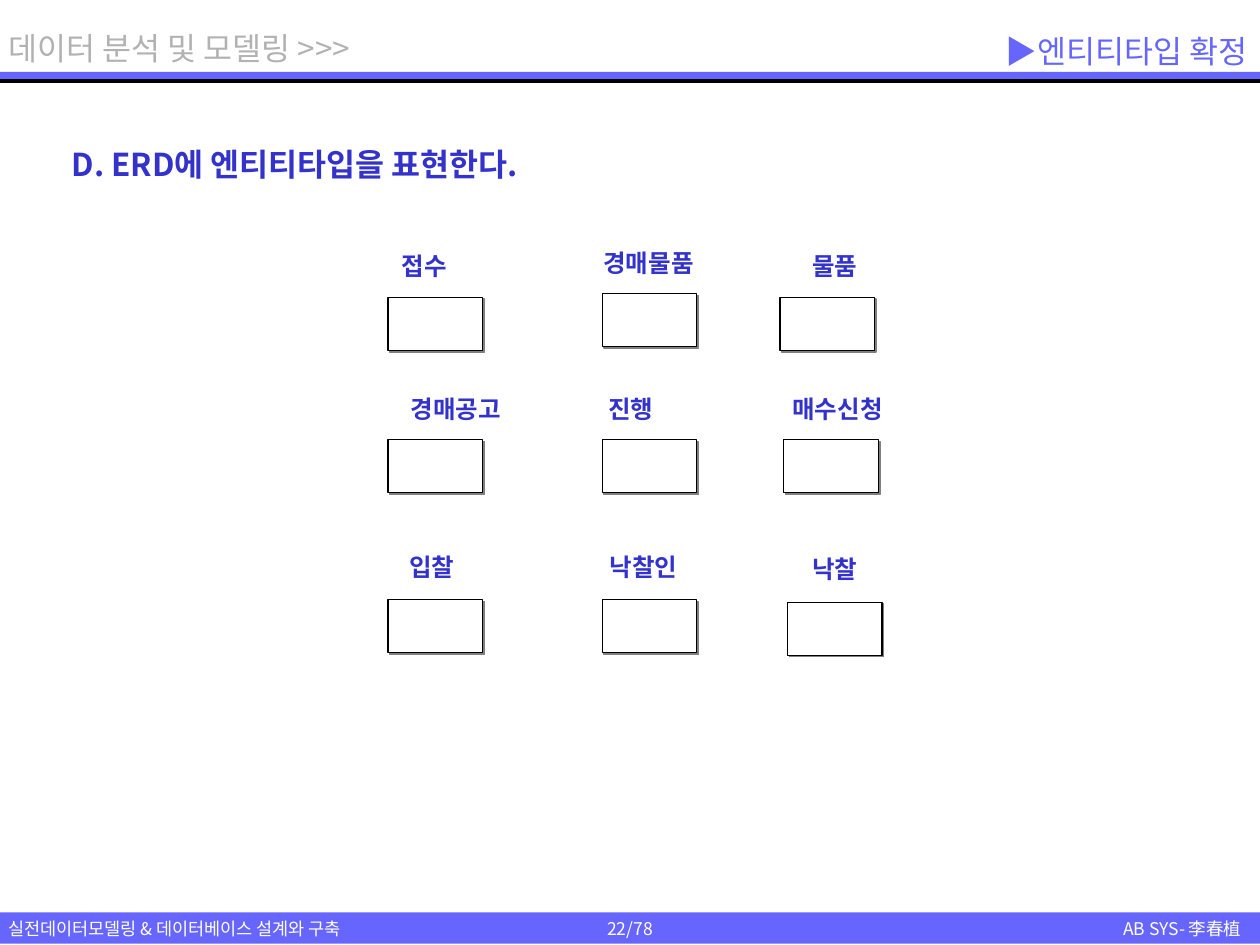
from lxml import etree
from pptx import Presentation
from pptx.dml.color import RGBColor
from pptx.enum.shapes import MSO_CONNECTOR as LINE, MSO_SHAPE as SHAPE
from pptx.enum.text import MSO_ANCHOR as ANCHOR, MSO_AUTO_SIZE as FIT, PP_ALIGN as ALIGN
from pptx.oxml import parse_xml
from pptx.oxml.ns import nsdecls, qn
from pptx.util import Inches, Pt

FONT = "Noto Sans CJK KR"
VIOLET = RGBColor(0x66, 0x66, 0xFF)
BLUE = RGBColor(0x33, 0x33, 0xCC)
GREY = RGBColor(0xB2, 0xB2, 0xB2)
WHITE = RGBColor(0xFF, 0xFF, 0xFF)
BLACK = RGBColor(0, 0, 0)
SHADOW = (f'<a:effectLst {nsdecls("a")}><a:outerShdw dist="17780" dir="2700000" '
          'algn="ctr" rotWithShape="0"><a:srgbClr val="808080"/>'
          '</a:outerShdw></a:effectLst>')


def write(shape, text, size, color, bold=False, align=ALIGN.LEFT,
          anchor=ANCHOR.TOP, wrap=False):
    frame = shape.text_frame
    frame.auto_size = FIT.NONE
    frame.word_wrap = wrap
    frame.vertical_anchor = anchor
    para = frame.paragraphs[0]
    para.alignment = align
    run = para.add_run()
    run.text = text
    font = run.font
    font.name, font.size, font.bold = FONT, Pt(size), bold
    font.color.rgb = color
    # Korean glyphs take the East Asian font
    etree.SubElement(run._r.get_or_add_rPr(), qn("a:ea")).set("typeface", FONT)


def add_box(x, y, w, h, fill):
    box = slide.shapes.add_shape(SHAPE.RECTANGLE, Inches(x), Inches(y),
                                 Inches(w), Inches(h))
    box.fill.solid()
    box.fill.fore_color.rgb = fill
    box.line.fill.background()
    box.shadow.inherit = False
    return box


deck = Presentation()
deck.slide_width, deck.slide_height = Inches(10), Inches(7.5)
slide = deck.slides.add_slide(deck.slide_layouts[5])

# Footer bar with page number, and header bar
foot = add_box(0, 7.24, 10, 0.25, VIOLET)
write(foot, "22/78", 10, WHITE, align=ALIGN.CENTER, anchor=ANCHOR.MIDDLE)
add_box(0, 0.57, 10, 0.06, VIOLET)

# Black rules under the header bar
for y in (0.63, 0.64, 0.65):
    rule = slide.shapes.add_connector(LINE.STRAIGHT, 0, Inches(y), Inches(10), Inches(y))
    rule.line.color.rgb = BLACK
    rule.line.width = Pt(0.75)
    etree.SubElement(rule._element.spPr, qn("a:effectLst"))

# Title
title = slide.shapes.title
title.left, title.top = Inches(5), Inches(0.19)
title.width, title.height = Inches(5), Inches(0.43)
write(title, "▶엔티티타입 확정", 18, VIOLET, align=ALIGN.RIGHT, anchor=ANCHOR.MIDDLE)

# Header, footer and heading: x, y, w, h, text, size, colour, bold, align
texts = [
    (-0.03, 7.24, 3.13, 0.27, "실전데이터모델링 & 데이터베이스 설계와 구축", 10, WHITE, False, ALIGN.LEFT),
    (8.62, 7.24, 1.33, 0.27, "AB SYS- 李春植", 10, WHITE, False, ALIGN.RIGHT),
    (-0.03, 0.18, 3.11, 0.4, "데이터 분석 및 모델링 >>>", 18, GREY, False, ALIGN.LEFT),
    (0.47, 1.1, 3.97, 0.4, "D. ERD에 엔티티타입을 표현한다.", 18, BLUE, True, ALIGN.LEFT),
]
# Entities: name, label x and y, box x and y
entities = [
    ("접수", 3.09, 1.94, 3.08, 2.36),
    ("경매물품", 4.69, 1.92, 4.78, 2.33),
    ("물품", 6.35, 1.94, 6.19, 2.36),
    ("경매공고", 3.16, 3.08, 3.08, 3.49),
    ("진행", 4.73, 3.08, 4.78, 3.49),
    ("매수신청", 6.19, 3.08, 6.22, 3.49),
    ("입찰", 3.15, 4.33, 3.08, 4.76),
    ("낙찰인", 4.74, 4.33, 4.78, 4.76),
    ("낙찰", 6.35, 4.35, 6.25, 4.78),
]
for name, x, y, left, top in entities:
    width = 0.2 + 0.18 * len(name)
    texts.append((x, y, width, 0.34, name, 14, BLUE, True, ALIGN.LEFT))
    box = add_box(left, top, 0.75, 0.42, WHITE)
    box.line.color.rgb = BLACK
    box.line.width = Pt(0.75)
    props = box._element.spPr
    props.replace(props.find(qn("a:effectLst")), parse_xml(SHADOW))

for x, y, w, h, text, size, color, bold, align in texts:
    area = slide.shapes.add_textbox(Inches(x), Inches(y), Inches(w), Inches(h))
    write(area, text, size, color, bold, align)

deck.save("out.pptx")
